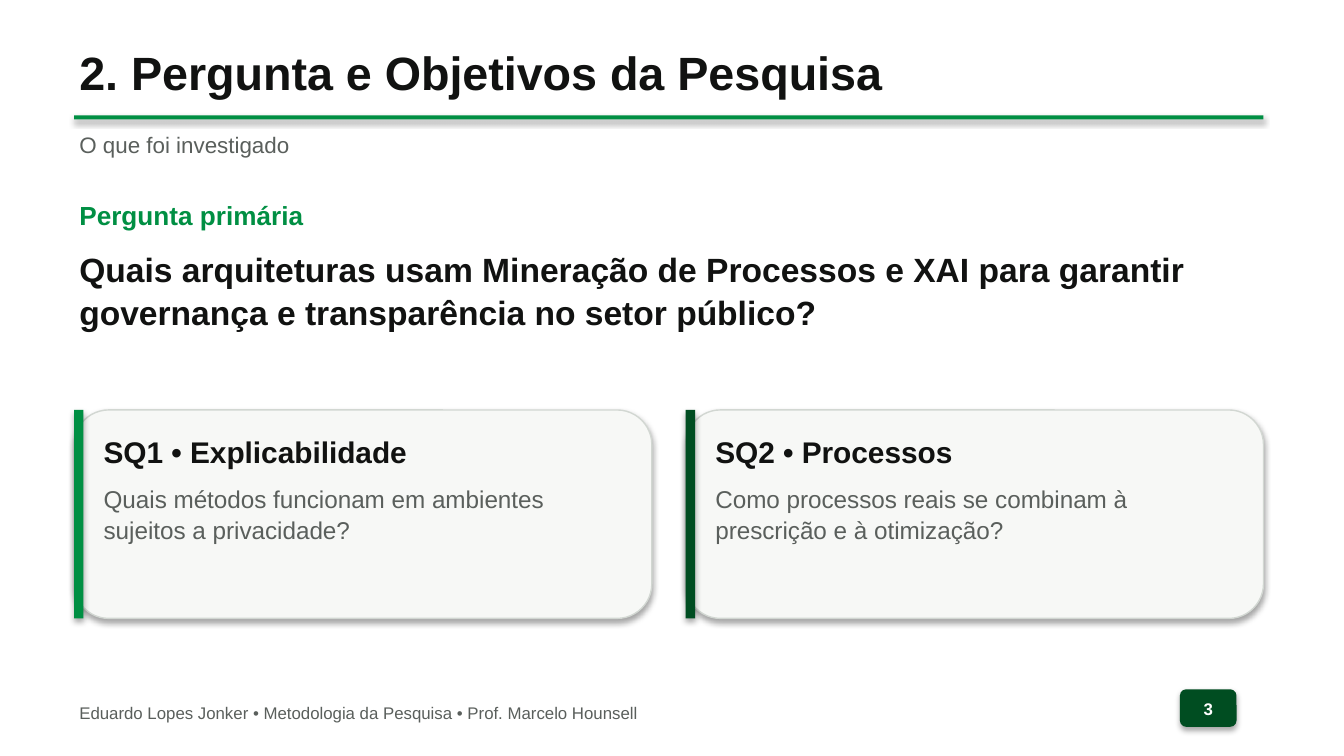
"""Build the slide with the research question and its two sub-questions."""
from dataclasses import dataclass

from pptx import Presentation
from pptx.dml.color import RGBColor
from pptx.enum.shapes import MSO_SHAPE
from pptx.enum.text import MSO_ANCHOR, MSO_AUTO_SIZE, PP_ALIGN
from pptx.util import Cm, Pt


@dataclass(frozen=True)
class Theme:
    font: str = "Arial"
    ink: str = "111211"
    muted: str = "5A5F5C"
    green: str = "008F43"
    dark_green: str = "004D21"
    card: str = "F7F8F6"
    border: str = "D2D7D2"
    white: str = "FFFFFF"
    title_size: int = 25
    question_size: int = 18
    card_title_size: int = 16
    label_size: int = 14
    body_size: int = 13
    subtitle_size: int = 12
    small_size: int = 9


theme = Theme()


def write_text(shape, text, size, color, bold=False, align=PP_ALIGN.LEFT,
               anchor=MSO_ANCHOR.TOP, auto_size=MSO_AUTO_SIZE.SHAPE_TO_FIT_TEXT):
    frame = shape.text_frame
    frame.word_wrap = True
    frame.auto_size = auto_size
    frame.vertical_anchor = anchor
    frame.margin_left = frame.margin_right = Cm(0.1)
    frame.margin_top = frame.margin_bottom = Cm(0.05)
    paragraph = frame.paragraphs[0]
    paragraph.alignment = align
    paragraph.line_spacing = 1.06
    run = paragraph.add_run()
    run.text = text
    run.font.name = theme.font
    run.font.size = Pt(size)
    run.font.bold = bold
    run.font.color.rgb = RGBColor.from_string(color)


def add_block(kind, left, top, width, height, fill, line=None):
    shape = slide.shapes.add_shape(kind, Cm(left), Cm(top), Cm(width), Cm(height))
    shape.fill.solid()
    shape.fill.fore_color.rgb = RGBColor.from_string(fill)
    if line:
        shape.line.color.rgb = RGBColor.from_string(line)
        shape.line.width = Pt(0.75)
    else:
        shape.line.fill.background()
    return shape


presentation = Presentation()
presentation.slide_width = Cm(25.4)
presentation.slide_height = Cm(14.29)
slide = presentation.slides.add_slide(presentation.slide_layouts[5])

margin = 1.4
content_width = 22.48

title = slide.shapes.title
title.left, title.top, title.width, title.height = Cm(margin), Cm(0.71), Cm(21.97), Cm(1.32)
write_text(title, "2. Pergunta e Objetivos da Pesquisa", theme.title_size, theme.ink, bold=True)
add_block(MSO_SHAPE.RECTANGLE, margin, 2.18, content_width, 0.08, theme.green)

card_top, card_width, card_height, card_gap = 7.75, 10.92, 3.94, 0.64
cards = [
    ("SQ1 • Explicabilidade", "Quais métodos funcionam em ambientes sujeitos a privacidade?", theme.green),
    ("SQ2 • Processos", "Como processos reais se combinam à prescrição e à otimização?", theme.dark_green),
]

texts = [
    (margin, 2.39, content_width, 0.89, "O que foi investigado", theme.subtitle_size, theme.muted, False),
    (margin, 3.68, 5.59, 0.76, "Pergunta primária", theme.label_size, theme.green, True),
    (margin, 4.62, content_width, 2.08,
     "Quais arquiteturas usam Mineração de Processos e XAI para garantir "
     "governança e transparência no setor público?", theme.question_size, theme.ink, True),
]
for index, (heading, question, accent) in enumerate(cards):
    left = margin + index * (card_width + card_gap)
    add_block(MSO_SHAPE.ROUNDED_RECTANGLE, left, card_top, card_width, card_height, theme.card, theme.border)
    add_block(MSO_SHAPE.RECTANGLE, left, card_top, 0.18, card_height, accent)
    texts += [
        (left + 0.46, 8.1, 10.11, 0.81, heading, theme.card_title_size, theme.ink, True),
        (left + 0.46, 9.07, 10.11, 2.36, question, theme.body_size, theme.muted, False),
    ]
texts.append((margin, 13.21, 19.94, 0.46,
              "Eduardo Lopes Jonker • Metodologia da Pesquisa • Prof. Marcelo Hounsell",
              theme.small_size, theme.muted, False))

for left, top, width, height, text, size, color, bold in texts:
    text_box = slide.shapes.add_textbox(Cm(left), Cm(top), Cm(width), Cm(height))
    write_text(text_box, text, size, color, bold)

page_badge = add_block(MSO_SHAPE.ROUNDED_RECTANGLE, 22.3, 13.03, 1.07, 0.71, theme.dark_green)
write_text(page_badge, "3", theme.small_size, theme.white, bold=True, align=PP_ALIGN.CENTER,
           anchor=MSO_ANCHOR.MIDDLE, auto_size=MSO_AUTO_SIZE.NONE)

presentation.save("out.pptx")
